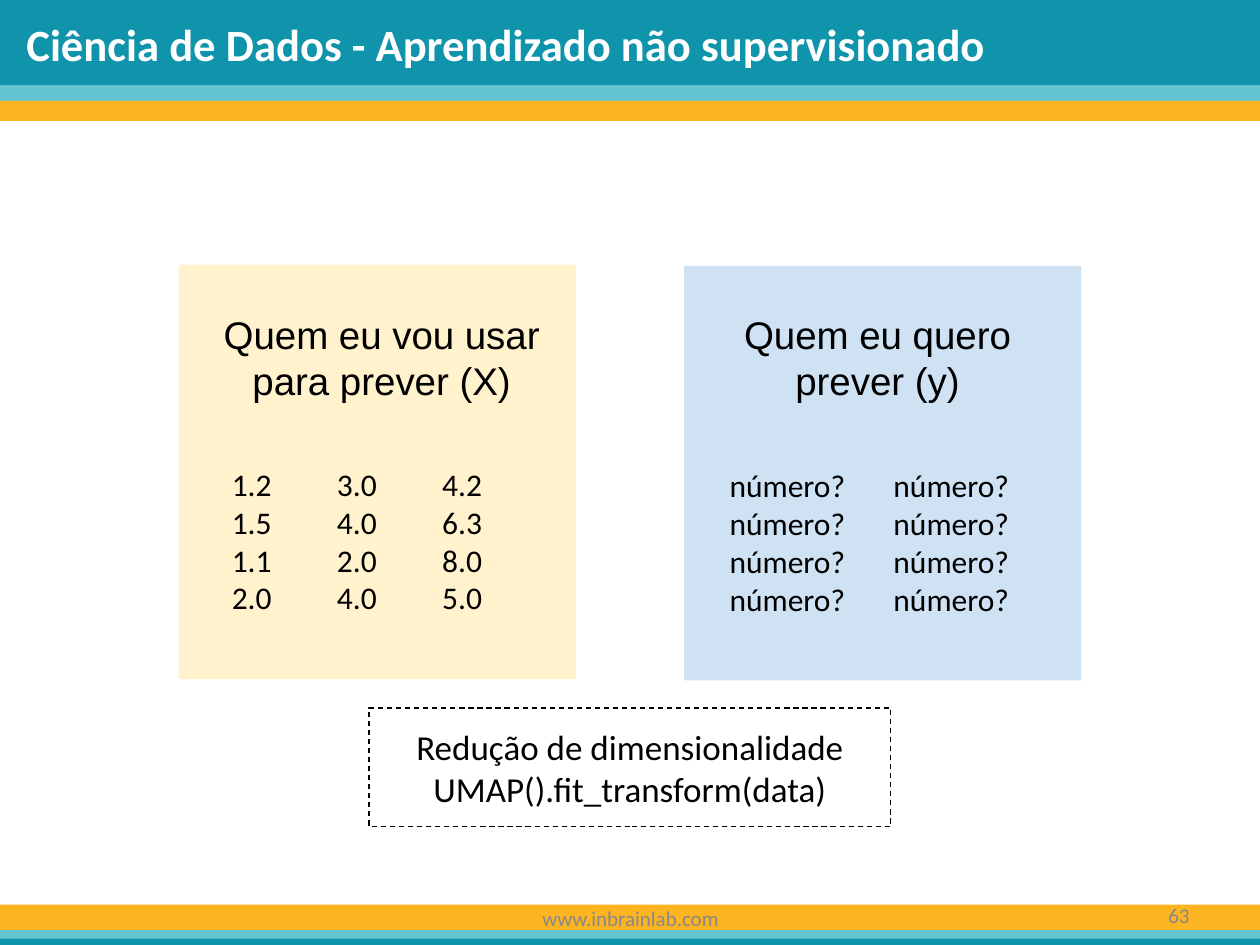
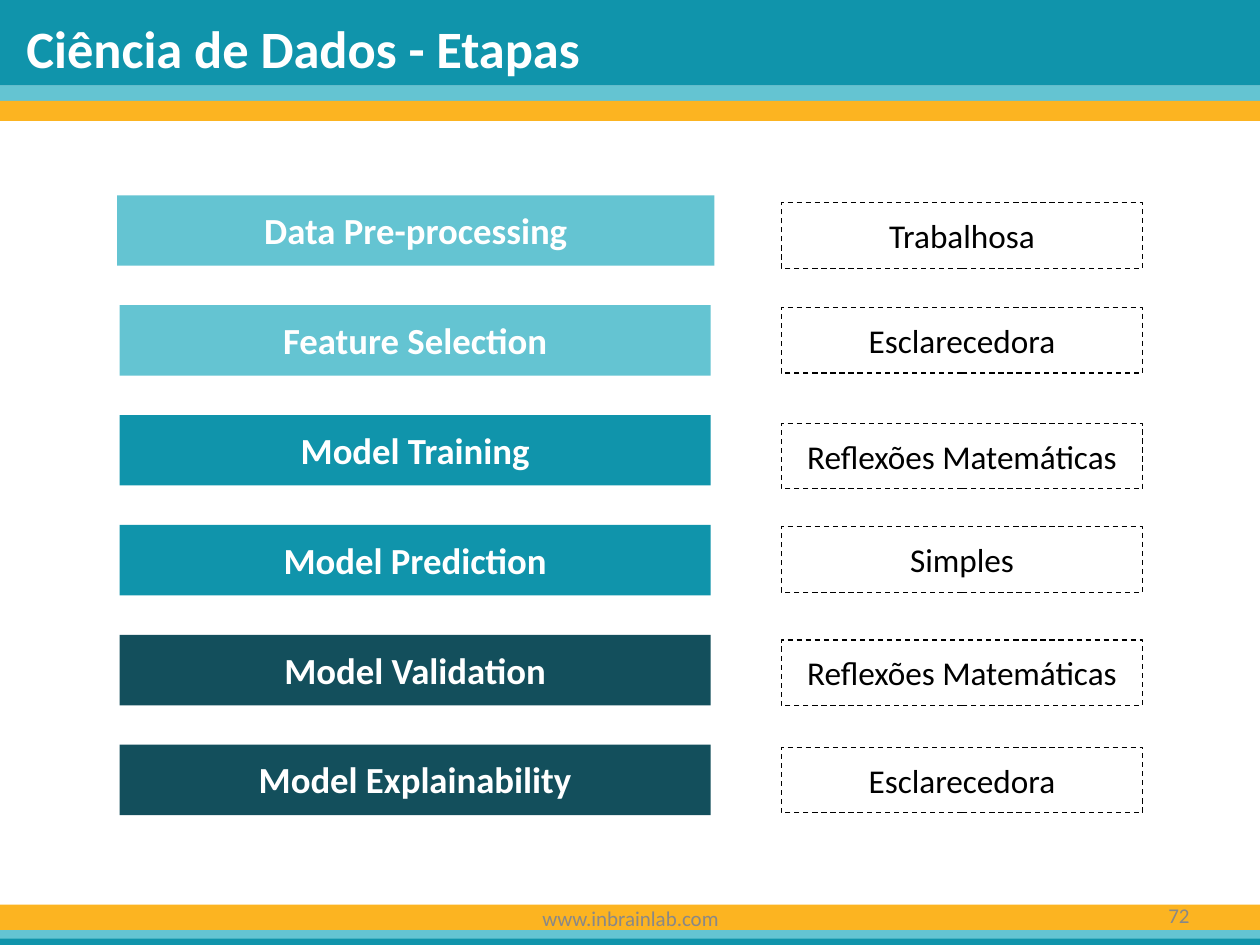
from pptx import Presentation
from pptx.dml.color import RGBColor
from pptx.enum.dml import MSO_LINE
from pptx.enum.shapes import MSO_SHAPE
from pptx.enum.text import MSO_ANCHOR as Anchor, MSO_AUTO_SIZE as Fit, PP_ALIGN as Align
from pptx.util import Inches, Pt

TEAL, LIGHT, GOLD, DEEP = "1094AB", "64C4D2", "FCB421", "134F5C"
WHITE, BLACK, GREY = "FFFFFF", "000000", "888888"

deck = Presentation()
deck.slide_width, deck.slide_height = Inches(10), Inches(7.5)
unit = deck.slide_width / 100


def hue(code):
    return RGBColor.from_string(code)


def put(slide, text, area, shape=None, fill=None, dash=False, size=18, color=BLACK,
        font="Calibri", bold=False, align=Align.CENTER, anchor=Anchor.TOP, pad=1, gap=1.0):
    place = [round(n * unit) for n in area]
    if shape is None and (fill or dash):
        shape = slide.shapes.add_shape(MSO_SHAPE.RECTANGLE, *place)
        shape.shadow.inherit = False
        shape.fill.background()
        shape.line.fill.background()
    elif shape is None:
        shape = slide.shapes.add_textbox(*place)
    shape.left, shape.top, shape.width, shape.height = place
    if fill:
        shape.fill.solid()
        shape.fill.fore_color.rgb = hue(fill)
    if dash:
        shape.line.color.rgb = hue(BLACK)
        shape.line.width = Pt(0.75)
        shape.line.dash_style = MSO_LINE.DASH
    if not text:
        return
    frame = shape.text_frame
    frame.text = text
    frame.word_wrap = True
    frame.auto_size = Fit.NONE
    frame.vertical_anchor = anchor
    frame.margin_left = frame.margin_right = Inches(0.1)
    frame.margin_top = frame.margin_bottom = round(pad * unit)
    for para in frame.paragraphs:
        para.alignment = align
        para.line_spacing = gap
        para.font.name = font
        para.font.size = Pt(size)
        para.font.bold = bold
        para.font.color.rgb = hue(color)


bands = [
    (74.4, 0.8, TEAL), (73.7, 0.8, LIGHT), (71.8, 2, GOLD),
    (-0.1, 6.9, TEAL), (6.8, 1.4, LIGHT), (8, 1.6, GOLD),
]
heads = [
    ("Ciência de Dados - Aprendizado não supervisionado", 25.5, "63"),
    ("Ciência de Dados - Etapas", 30, "72"),
]
pages = []
for head, size, page in heads:
    slide = deck.slides.add_slide(deck.slide_layouts[5])
    for top, tall, tint in bands:
        put(slide, "", (0, top, 100, tall), fill=tint)
    foot = dict(size=12, color=GREY, anchor=Anchor.MIDDLE, pad=0.5)
    put(slide, "www.inbrainlab.com", (34.2, 70.9, 31.7, 4), **foot)
    put(slide, page, (72.1, 70.6, 23.3, 4), align=Align.RIGHT, **foot)
    title = slide.shapes.title
    title.element.getparent().append(title.element)
    put(slide, head, (1.1, 1.3, 82.7, 6.8), shape=title, size=size, color=WHITE,
        bold=True, align=Align.LEFT, pad=0.5, gap=0.9)
    pages.append(slide)

data, steps = pages

guess = "\n".join(["número?"] * 4)
cards = [
    (14.2, 21, "FFF2CC", "Quem eu vou usar para prever (X)", 29, 15.8, 8.35,
     ["1.2\n1.5\n1.1\n2.0", "3.0\n4.0\n2.0\n4.0", "4.2\n6.3\n8.0\n5.0"]),
    (54.3, 21.1, "CFE2F3", "Quem eu quero prever (y)", 27.3, 56, 13, [guess, guess]),
]
for left, top, tint, head, wide, start, step, cols in cards:
    put(data, "", (left, top, 31.5, 32.9), fill=tint)
    put(data, head, (start, 23.7, wide, 9.4), size=22, font="Arial")
    for i, col in enumerate(cols):
        put(data, col, (start + i * step, top + 14.9, step, 14.1))
put(data, "Redução de dimensionalidade\nUMAP().fit_transform(data)", (29.3, 56.2, 41.4, 9.4),
    dash=True, size=20, anchor=Anchor.MIDDLE)

stages = [
    ("Data Pre-processing", LIGHT, "Trabalhosa", 16.1),
    ("Feature Selection", LIGHT, "Esclarecedora", 24.4),
    ("Model Training", TEAL, "Reflexões Matemáticas", 33.6),
    ("Model Prediction", TEAL, "Simples", 41.8),
    ("Model Validation", DEEP, "Reflexões Matemáticas", 50.8),
    ("Model Explainability", DEEP, "Esclarecedora", 59.3),
]
for i, (name, tint, note, top) in enumerate(stages):
    left, wide = (9.5, 46.9) if i else (9.3, 47.4)
    put(steps, name, (left, 15.5 + i * 8.72, wide, 5.6), fill=tint, size=21,
        color=WHITE, bold=True)
    put(steps, note, (62, top, 28.7, 5.2), dash=True, size=19)

deck.save("out.pptx")
